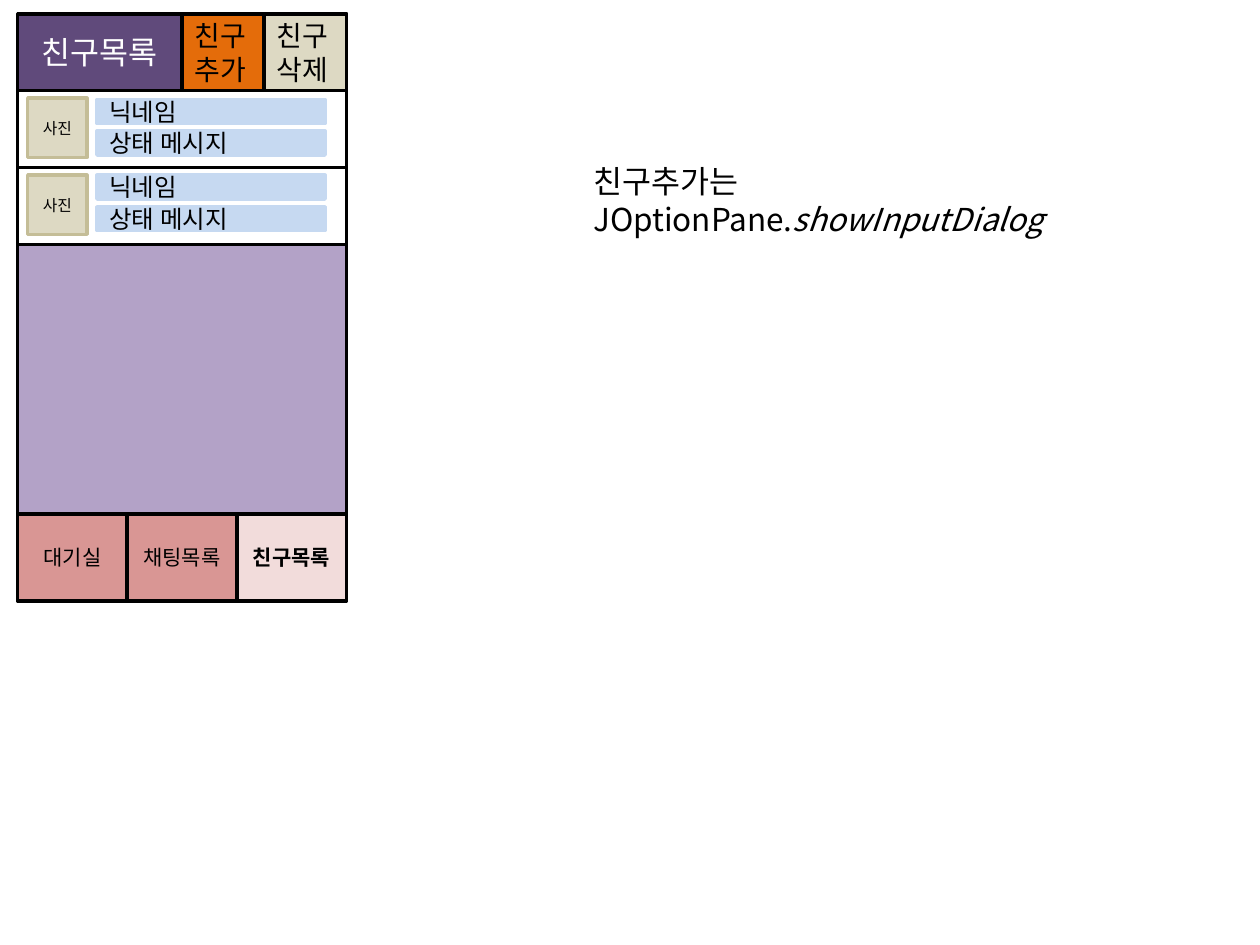
from lxml.etree import SubElement
from pptx import Presentation
from pptx.dml.color import RGBColor
from pptx.enum.shapes import MSO_SHAPE as Shape
from pptx.enum.text import MSO_ANCHOR as Anchor, MSO_AUTO_SIZE as AutoSize, PP_ALIGN as Align
from pptx.oxml.ns import qn
from pptx.util import Inches, Pt

FONT = "Noto Sans CJK KR"
LEFT, TOP, WIDTH, HEIGHT = 0.14, 0.11, 2.61, 4.65
ROW = 0.61

deck = Presentation()
deck.slide_width, deck.slide_height = Inches(10), Inches(7.5)
page = deck.slides.add_slide(deck.slide_layouts[6])


def style(para, size, color="000000", align=Align.LEFT, bold=False):
    """Set the font and alignment of a paragraph."""
    para.alignment = align
    font = para.font
    font.name, font.size, font.bold = FONT, Pt(size), bold
    font.color.rgb = RGBColor.from_string(color)
    properties = para._p.find(".//" + qn("a:defRPr"))
    SubElement(properties, qn("a:ea")).set("typeface", FONT)


def add_box(left, top, width, height, fill, line="000000", text="", size=12, **looks):
    """Add an outlined rectangle, with a styled label if text is given."""
    box = page.shapes.add_shape(
        Shape.RECTANGLE, Inches(left), Inches(top), Inches(width), Inches(height))
    box.shadow.inherit = False
    box.fill.solid()
    box.fill.fore_color.rgb = RGBColor.from_string(fill)
    box.line.color.rgb = RGBColor.from_string(line)
    box.line.width = Pt(2)
    if text:
        box.text_frame.vertical_anchor = Anchor.MIDDLE
        para = box.text_frame.paragraphs[0]
        para.text = text
        style(para, size, **looks)


# Phone window
add_box(LEFT, TOP, WIDTH, HEIGHT, "B3A2C7")

# Bottom tabs
tab_width = WIDTH / 3
tabs = [("대기실", "D99694", False), ("채팅목록", "D99694", False), ("친구목록", "F2DCDB", True)]
for index, (label, fill, bold) in enumerate(tabs):
    add_box(LEFT + index * tab_width, 4.08, tab_width, 0.69, fill,
            text=label, align=Align.CENTER, bold=bold)

# Friend rows
for index, nickname_offset in enumerate([0.07, 0.06]):
    row_top = TOP + (index + 1) * ROW
    add_box(LEFT, row_top, WIDTH, ROW, "FFFFFF")
    add_box(0.22, row_top + 0.06, 0.47, 0.47, "DDD9C3", "C4BD97",
            "사진", 9, align=Align.CENTER)
    for offset, label in [(0, "닉네임"), (0.25, "상태 메시지")]:
        add_box(0.77, row_top + nickname_offset + offset, 1.81, 0.19,
                "C6D9F1", "C6D9F1", label, 14)

# Header: a title of half the width and two buttons of a quarter each
quarter = WIDTH / 4
add_box(LEFT, TOP, 2 * quarter, ROW, "604A7B", text="친구목록", size=18,
        color="FFFFFF", align=Align.CENTER)
for column, label, fill in [(2, "친구추가", "E46C0A"), (3, "친구삭제", "DDD9C3")]:
    add_box(LEFT + column * quarter, TOP, quarter, ROW, fill, text=label, size=16)

# Note
note = page.shapes.add_textbox(Inches(4.61), Inches(1.24), Inches(4.97), Inches(0.4))
note.text_frame.word_wrap = True
note.text_frame.auto_size = AutoSize.SHAPE_TO_FIT_TEXT
note_para = note.text_frame.paragraphs[0]
for words, italic in [("친구추가는 JOptionPane.", False), ("showInputDialog", True)]:
    span = note_para.add_run()
    span.text = words
    span.font.italic = italic
style(note_para, 18)

deck.save("out.pptx")
